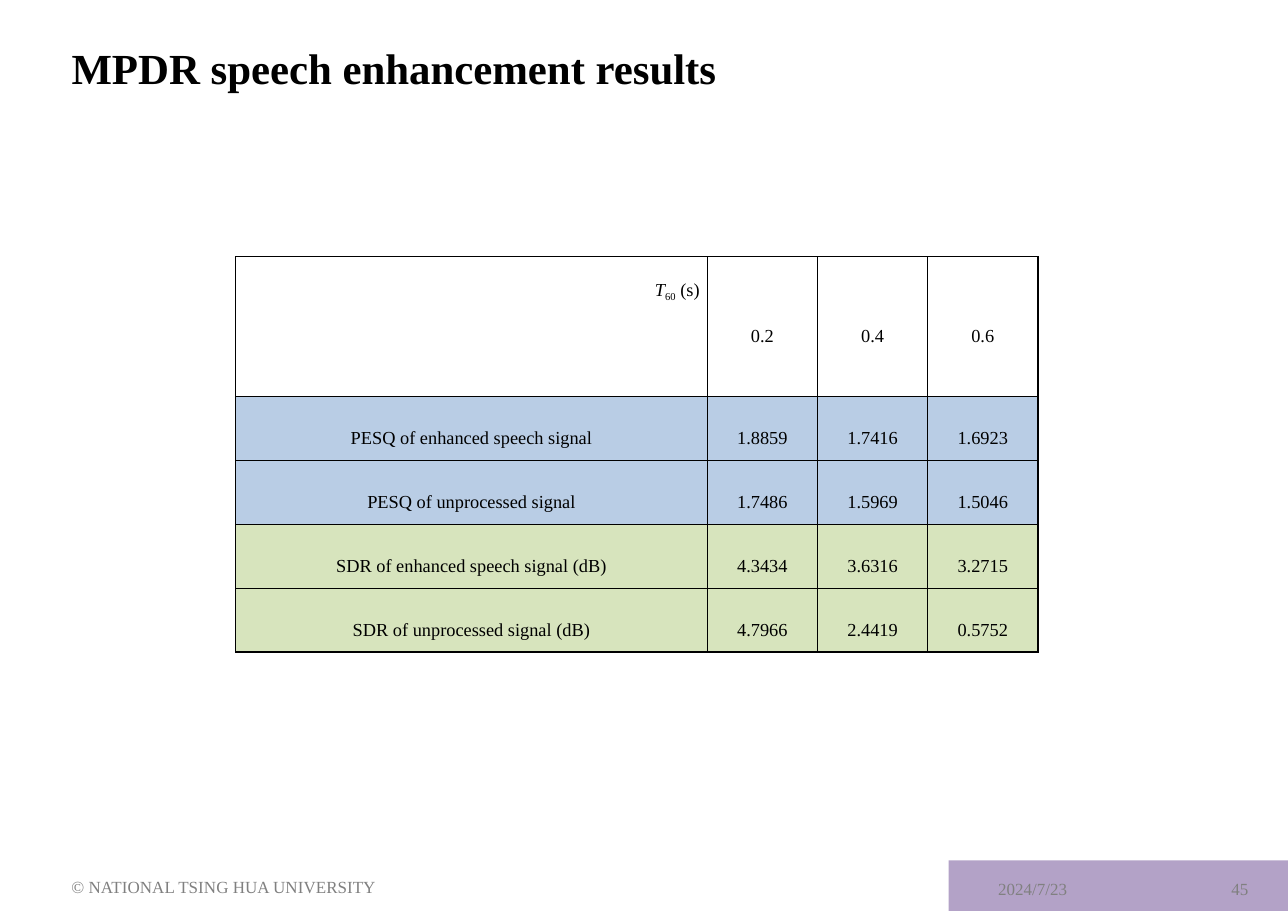
"""Build the slide of MPDR speech enhancement results."""
from dataclasses import dataclass

from lxml import etree
from pptx import Presentation
from pptx.dml.color import RGBColor
from pptx.enum.shapes import MSO_SHAPE
from pptx.enum.text import MSO_ANCHOR, PP_ALIGN
from pptx.oxml.ns import qn
from pptx.util import Inches, Pt

RECTANGLE = MSO_SHAPE.RECTANGLE
TOP, MIDDLE = MSO_ANCHOR.TOP, MSO_ANCHOR.MIDDLE
LEFT, CENTER, RIGHT = PP_ALIGN.LEFT, PP_ALIGN.CENTER, PP_ALIGN.RIGHT

BLACK = RGBColor(0x00, 0x00, 0x00)
GRAY = RGBColor(0x80, 0x80, 0x80)
PURPLE = RGBColor(0xB3, 0xA2, 0xC7)
BLUE = RGBColor(0xB9, 0xCD, 0xE5)
GREEN = RGBColor(0xD7, 0xE4, 0xBD)
FONT = "Times New Roman"
COLUMN_WIDTHS = (4.28, 1, 1, 1)
HEADER_HEIGHT, ROW_HEIGHT = 1.27, 0.58


@dataclass
class FooterText:
    text: str
    left: float
    top: float
    width: float
    align: PP_ALIGN = LEFT


@dataclass
class ResultRow:
    label: str
    values: tuple[str, ...]
    fill: RGBColor | None = None


FOOTERS = (
    FooterText("2024/7/23", 8.96, 7.87, 1.38),
    FooterText("© NATIONAL TSING HUA UNIVERSITY", 0.55, 7.85, 3.19),
    FooterText("45", 10.52, 7.87, 0.91, RIGHT),
)
ROWS = (
    ResultRow("", ("0.2", "0.4", "0.6")),
    ResultRow("PESQ of enhanced speech signal", ("1.8859", "1.7416", "1.6923"), BLUE),
    ResultRow("PESQ of unprocessed signal", ("1.7486", "1.5969", "1.5046"), BLUE),
    ResultRow("SDR of enhanced speech signal (dB)", ("4.3434", "3.6316", "3.2715"), GREEN),
    ResultRow("SDR of unprocessed signal (dB)", ("4.7966", "2.4419", "0.5752"), GREEN),
)


def style_paragraph(para, size: float, color: RGBColor, align: PP_ALIGN = LEFT,
                    spacing: float = 1.0, bold: bool = False) -> None:
    """Set the font and layout of a paragraph."""
    para.alignment = align
    para.line_spacing = spacing
    para.font.name = FONT
    para.font.size = Pt(size)
    para.font.bold = bold
    para.font.color.rgb = color


def add_title(page) -> None:
    """Place the slide title."""
    title = page.shapes.title
    title.left, title.top = Inches(0.55), Inches(0.22)
    title.width, title.height = Inches(9.04), Inches(0.69)
    title.text_frame.text = "MPDR speech enhancement results"
    title.text_frame.vertical_anchor = MIDDLE
    style_paragraph(title.text_frame.paragraphs[0], 28, BLACK, spacing=1.2, bold=True)


def add_band(page) -> None:
    """Draw the purple band behind the date and page number."""
    band = page.shapes.add_shape(RECTANGLE, Inches(8.61), Inches(7.81), Inches(3.08), Inches(0.46))
    band.shadow.inherit = False
    band.fill.solid()
    band.fill.fore_color.rgb = PURPLE
    band.line.fill.background()


def add_footer(page, footer: FooterText) -> None:
    """Add one footer text."""
    box = page.shapes.add_textbox(Inches(footer.left), Inches(footer.top),
                                  Inches(footer.width), Inches(0.39))
    box.text_frame.word_wrap = True
    box.text_frame.vertical_anchor = MIDDLE
    box.text_frame.text = footer.text
    style_paragraph(box.text_frame.paragraphs[0], 11.1, GRAY, footer.align)


def add_borders(cell) -> None:
    """Draw a thin black line on all four sides of a cell."""
    properties = cell._tc.get_or_add_tcPr()
    for side in ("a:lnL", "a:lnR", "a:lnT", "a:lnB"):
        line = etree.SubElement(properties, qn(side), w=str(Pt(1)))
        fill = etree.SubElement(line, qn("a:solidFill"))
        etree.SubElement(fill, qn("a:srgbClr"), val=str(BLACK))


def format_cell(cell, fill: RGBColor | None) -> None:
    """Set the borders, fill and margins of a cell."""
    add_borders(cell)
    if fill is None:
        cell.fill.background()
    else:
        cell.fill.solid()
        cell.fill.fore_color.rgb = fill
    cell.margin_left = cell.margin_right = Inches(0.07)
    cell.margin_top = cell.margin_bottom = 0
    cell.vertical_anchor = MIDDLE


def write_reverberation_label(cell) -> None:
    """Write the T60 heading in the corner cell."""
    cell.vertical_anchor = TOP
    para = cell.text_frame.paragraphs[0]
    style_paragraph(para, 12, BLACK, RIGHT, 2.0)
    symbol, subscript, unit = (para.add_run() for _ in range(3))
    symbol.text, subscript.text, unit.text = "T", "60", " (s)"
    symbol.font.italic = True
    subscript._r.get_or_add_rPr().set("baseline", "-25000")


def add_results_table(page) -> None:
    """Add the table of PESQ and SDR values."""
    height = HEADER_HEIGHT + ROW_HEIGHT * (len(ROWS) - 1)
    frame = page.shapes.add_table(len(ROWS), len(COLUMN_WIDTHS), Inches(2.14), Inches(2.33),
                                  Inches(sum(COLUMN_WIDTHS)), Inches(height))
    table = frame.table
    table.first_row = table.horz_banding = False
    for column, width in zip(table.columns, COLUMN_WIDTHS):
        column.width = Inches(width)
    for index, (row, result) in enumerate(zip(table.rows, ROWS)):
        row.height = Inches(ROW_HEIGHT if index else HEADER_HEIGHT)
        for cell, text in zip(row.cells, (result.label, *result.values)):
            format_cell(cell, result.fill)
            if text:
                cell.text_frame.text = text
                style_paragraph(cell.text_frame.paragraphs[0], 12, BLACK, CENTER, 2.0)
    write_reverberation_label(table.cell(0, 0))


def main() -> None:
    """Build and save the deck."""
    deck = Presentation()
    deck.slide_width, deck.slide_height = Inches(11.69), Inches(8.27)
    page = deck.slides.add_slide(deck.slide_layouts[5])
    add_band(page)
    add_title(page)
    for footer in FOOTERS:
        add_footer(page, footer)
    add_results_table(page)
    deck.save("out.pptx")


if __name__ == "__main__":
    main()
